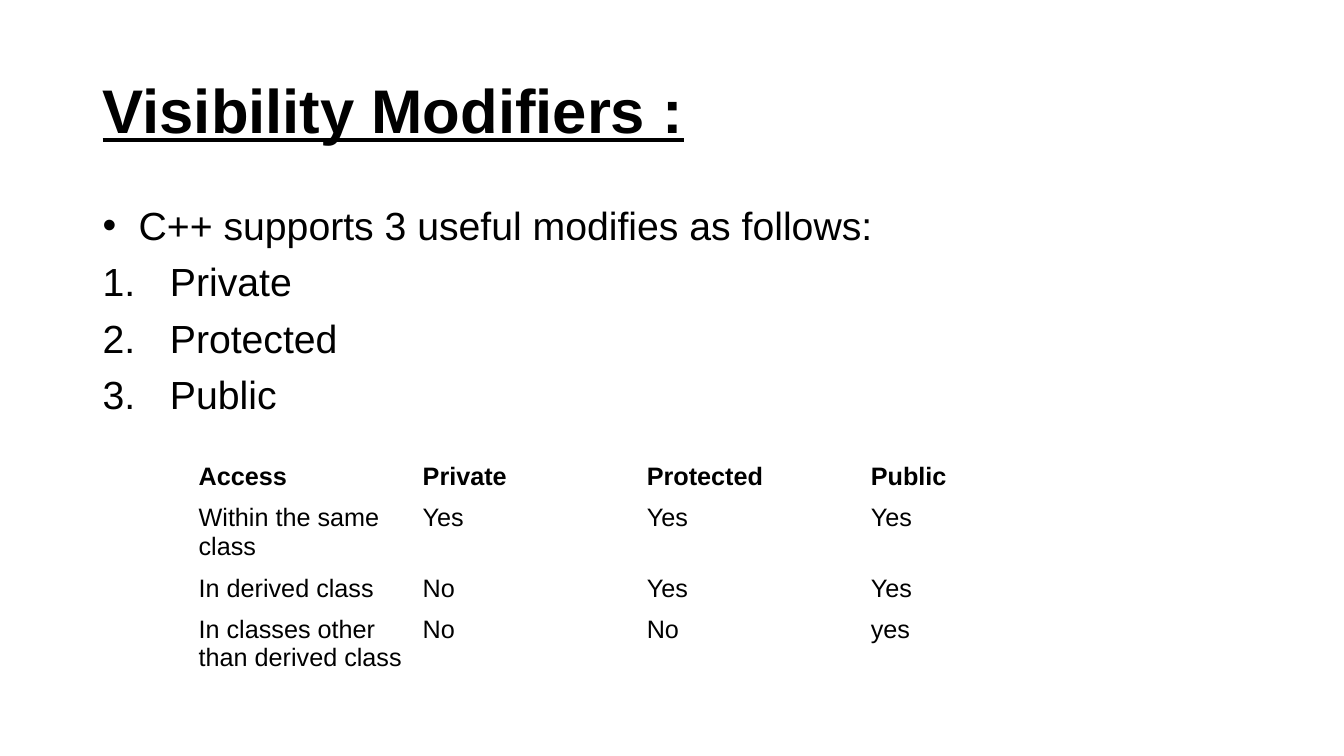
from lxml.etree import SubElement
from pptx import Presentation
from pptx.dml.color import RGBColor
from pptx.enum.text import MSO_VERTICAL_ANCHOR as Anchor
from pptx.oxml.ns import qn
from pptx.util import Inches, Pt

COLORS = {"text": "000000", "background": "FFFFFF"}
TITLE_FORMAT = {"name": "Arial", "size": Pt(44), "bold": True, "underline": True}
BODY_FORMAT = {"name": "Arial", "size": Pt(28)}
HEADER_FORMAT = {"name": "Arial", "size": Pt(18), "bold": True}
CELL_FORMAT = HEADER_FORMAT | {"bold": False}

INTRO = " C++ supports 3 useful modifies as follows:"
MODIFIERS = ["Private", "Protected", "Public"]
ACCESS_ROWS = [
    ["Access", *MODIFIERS],
    ["Within the same class", "Yes", "Yes", "Yes"],
    ["In derived class", "No", "Yes", "Yes"],
    ["In classes other than derived class", "No", "No", "yes"],
]


def write(paragraph, text, text_format):
    run = paragraph.add_run()
    run.text = text
    for name, value in text_format.items():
        setattr(run.font, name, value)
    run.font.color.rgb = RGBColor.from_string(COLORS["text"])


def add_text_frame(slide, box, anchor):
    frame = slide.shapes.add_textbox(*map(Inches, box)).text_frame
    frame.word_wrap = True
    frame.vertical_anchor = anchor
    return frame


def set_bullet(paragraph, indent, tag, **attributes):
    properties = paragraph._p.get_or_add_pPr()
    properties.set("marL", str(Inches(indent)))
    properties.set("indent", str(-Inches(indent)))
    color = SubElement(properties, qn("a:buClr"))
    SubElement(color, qn("a:srgbClr"), val=COLORS["text"])
    SubElement(properties, qn("a:buFont"), typeface="Arial")
    SubElement(properties, qn(tag), **attributes)


def add_title(slide, box):
    paragraph = add_text_frame(slide, box, Anchor.MIDDLE).paragraphs[0]
    paragraph.line_spacing = 0.9
    write(paragraph, "Visibility Modifiers :", TITLE_FORMAT)


def add_modifier_list(slide, box):
    frame = add_text_frame(slide, box, Anchor.TOP)
    intro = frame.paragraphs[0]
    intro.line_spacing = 0.9
    set_bullet(intro, 0.25, "a:buChar", char="•")
    write(intro, INTRO, BODY_FORMAT)
    for modifier in MODIFIERS:
        paragraph = frame.add_paragraph()
        paragraph.line_spacing = 0.9
        paragraph.space_before = Pt(10)
        set_bullet(paragraph, 0.56, "a:buAutoNum", type="arabicPeriod")
        write(paragraph, f" {modifier}", BODY_FORMAT)


def add_access_table(slide, box):
    rows, columns = len(ACCESS_ROWS), len(ACCESS_ROWS[0])
    table = slide.shapes.add_table(rows, columns, *map(Inches, box)).table
    table.first_row = table.horz_banding = False
    for row_index, values in enumerate(ACCESS_ROWS):
        text_format = CELL_FORMAT if row_index else HEADER_FORMAT
        for column_index, value in enumerate(values):
            cell = table.cell(row_index, column_index)
            cell.fill.background()
            write(cell.text_frame.paragraphs[0], value, text_format)


def build_slide(presentation):
    slide = presentation.slides.add_slide(presentation.slide_layouts[6])
    fill = slide.background.fill
    fill.solid()
    fill.fore_color.rgb = RGBColor.from_string(COLORS["background"])
    add_title(slide, (0.92, 0.4, 11.5, 1.45))
    add_modifier_list(slide, (0.92, 2, 11.5, 4.76))
    add_access_table(slide, (1.87, 4.54, 8.89, 1.64))


def main():
    presentation = Presentation()
    presentation.slide_width = Inches(13.33)
    presentation.slide_height = Inches(7.5)
    build_slide(presentation)
    presentation.save("out.pptx")


if __name__ == "__main__":
    main()
